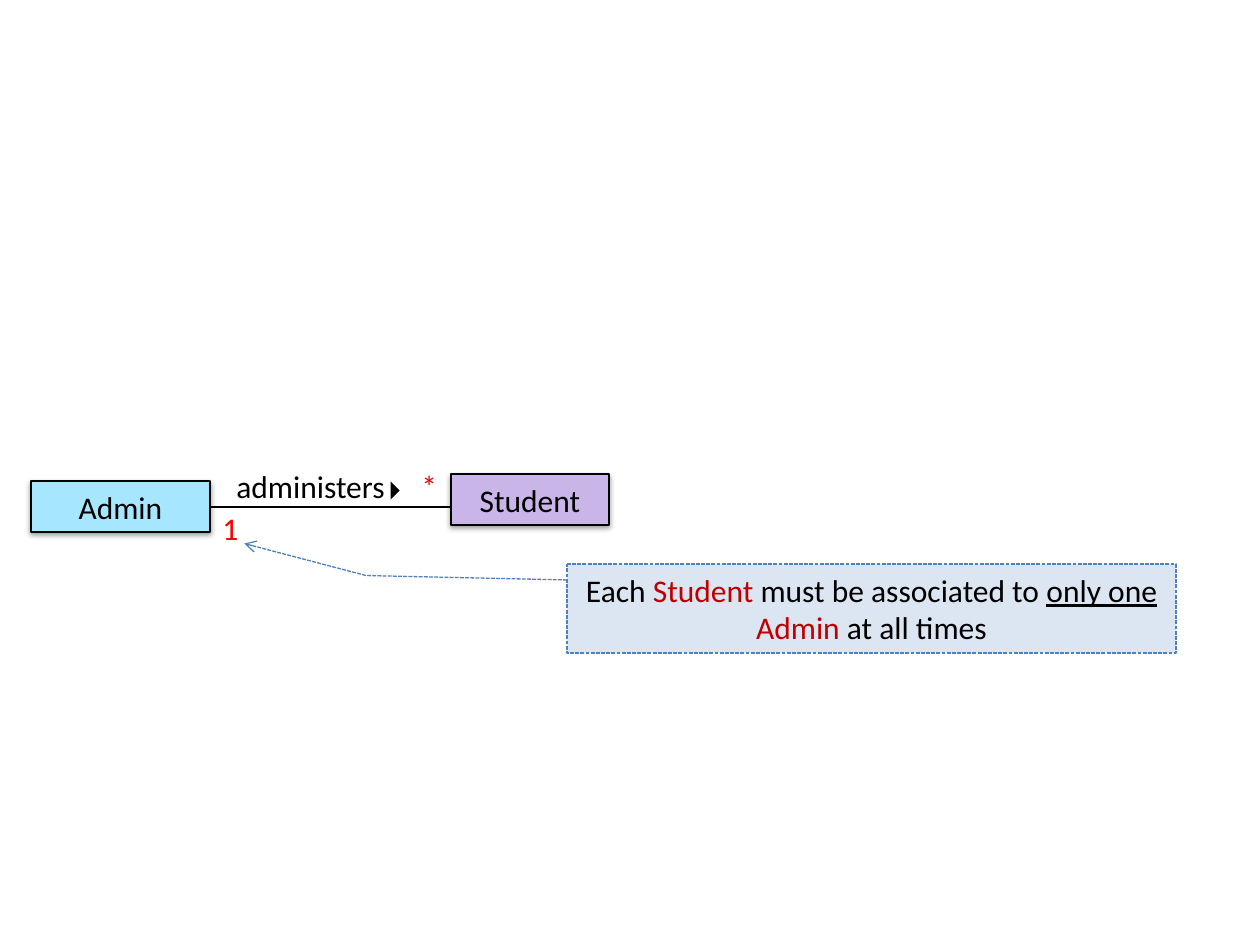
from lxml import etree
from pptx import Presentation
from pptx import util as u
from pptx.dml.color import RGBColor
from pptx.enum import dml, shapes, text
from pptx.oxml import parse_xml
from pptx.oxml.ns import nsdecls, qn

PX = 914400 / 126
COLOURS = {
    "black": "000000", "red": "FF0000", "dark_red": "C00000",
    "admin": "A7E6FF", "student": "C9B5E8",
    "note": "DCE6F2", "note_line": "4F81BD",
}
SHADOW = (
    f'<a:outerShdw {nsdecls("a")} blurRad="40000" dist="20000" dir="5400000" '
    'rotWithShape="0"><a:srgbClr val="000000"><a:alpha val="38000"/>'
    '</a:srgbClr></a:outerShdw>'
)


def px(value):
    return u.Emu(round(value * PX))


def colour(name):
    return RGBColor.from_string(COLOURS[name])


class Diagram:
    """Holds the text style and the slide being drawn."""

    font = {"name": "Calibri", "size": u.Pt(18)}

    def __init__(self, slide):
        self.slide = slide

    def add_text(self, box, spans, **frame_format):
        """Fill a box with spans of (text, colour, font extras)."""
        frame = box.text_frame
        for key, value in frame_format.items():
            setattr(frame, key, value)
        para = frame.paragraphs[0]
        for words, tint, extras in spans:
            span = para.add_run()
            span.text = words
            for key, value in {**self.font, **extras}.items():
                setattr(span.font, key, value)
            span.font.color.rgb = colour(tint)
        return para

    def shape(self, kind, place, fill, line=None):
        shape = self.slide.shapes.add_shape(kind, *map(px, place))
        shape.shadow.inherit = False
        shape.fill.solid()
        shape.fill.fore_color.rgb = colour(fill)
        if line:
            shape.line.color.rgb = colour(line)
            shape.line.width = u.Pt(0.75)
        else:
            shape.line.fill.background()
        return shape

    def centred(self, shape, spans):
        para = self.add_text(shape, spans, word_wrap=True,
                             vertical_anchor=text.MSO_ANCHOR.MIDDLE)
        para.alignment = text.PP_ALIGN.CENTER

    def class_box(self, name, place, fill):
        box = self.shape(shapes.MSO_SHAPE.RECTANGLE, place, fill, "black")
        box._element.spPr.find(qn("a:effectLst")).append(parse_xml(SHADOW))
        self.centred(box, [(name, "black", {})])

    def label(self, words, place, tint):
        box = self.slide.shapes.add_textbox(*map(px, place))
        self.add_text(box, [(words, tint, {})], word_wrap=True)

    def association(self, start, end):
        line = self.slide.shapes.add_connector(
            shapes.MSO_CONNECTOR.STRAIGHT, *map(px, start + end))
        line.line.color.rgb = colour("black")
        line.line.width = u.Pt(0.75)
        etree.SubElement(line._element.spPr, qn("a:effectLst"))

    def callout(self, spans, place, leader):
        box = self.shape(shapes.MSO_SHAPE.LINE_CALLOUT_2, place,
                         "note", "note_line")
        for index, value in enumerate(leader):
            box.adjustments[index] = value
        box.line.dash_style = dml.MSO_LINE.SQUARE_DOT
        outline = box._element.spPr.find(qn("a:ln"))
        etree.SubElement(outline, qn("a:tailEnd"), type="arrow")
        self.centred(box, spans)

    def direction_mark(self, place, rotation):
        mark = self.shape(shapes.MSO_SHAPE.RIGHT_TRIANGLE, place, "black")
        mark.rotation = rotation


def main():
    deck = Presentation()
    deck.slide_width, deck.slide_height = px(1260), px(945)
    page = Diagram(deck.slides.add_slide(deck.slide_layouts[6]))

    # Classes and the association between them
    page.class_box("Admin", (31, 481, 179, 51), "admin")
    page.class_box("Student", (451, 474, 158, 51), "student")
    page.association((210, 507), (451, 507))

    # Multiplicities
    page.label("*", (409, 461, 42, 53), "red")
    page.label("1", (210, 503, 42, 53), "red")

    # Note pointing at the multiplicity of Admin
    page.callout(
        [
            ("Each ", "black", {}),
            ("Student", "dark_red", {}),
            (" must be associated to ", "black", {}),
            ("only one ", "black", {"underline": True}),
            ("Admin", "dark_red", {}),
            (" at all times", "black", {}),
        ],
        (567, 564, 609, 89),
        (0.18, 0, 0.13, -0.33, -0.23, -0.53),
    )

    # Association name and reading direction
    page.label("administers", (224, 461, 175, 51), "black")
    page.direction_mark((384, 484, 13, 13), 225)

    deck.save("out.pptx")


if __name__ == "__main__":
    main()
